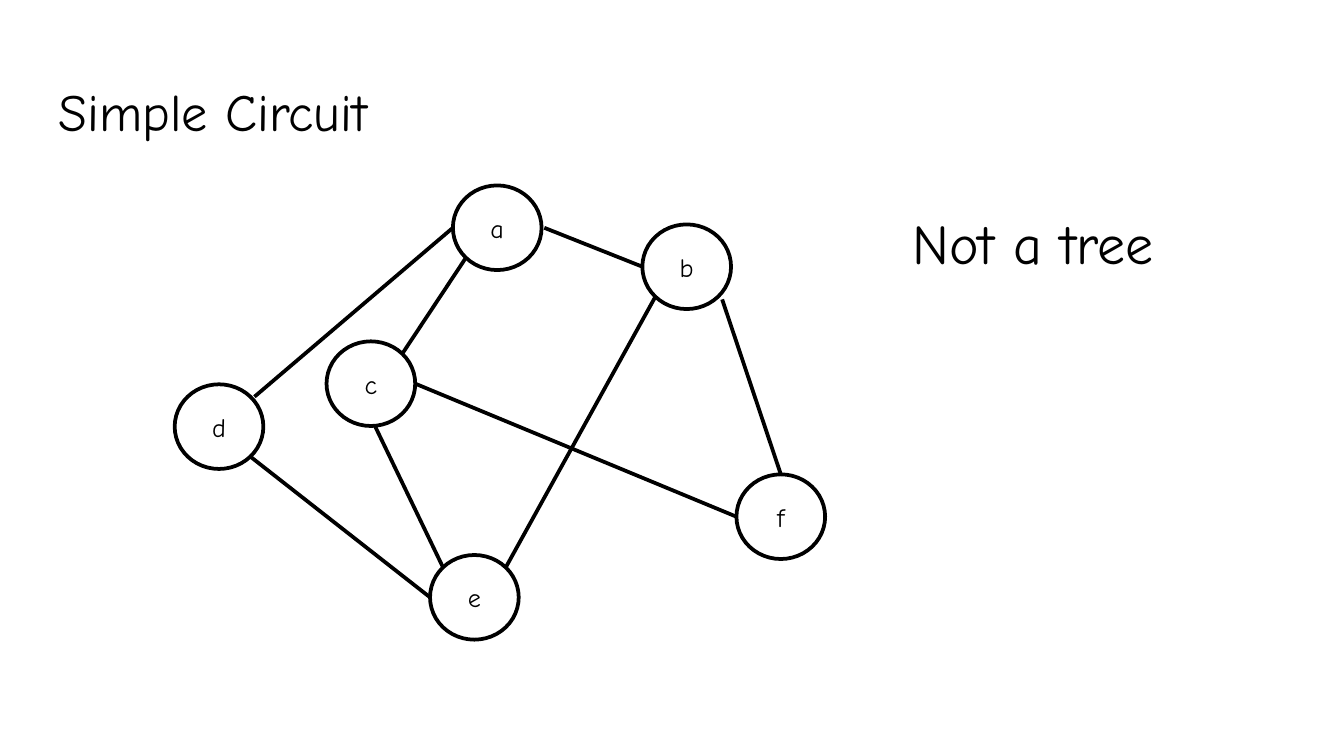
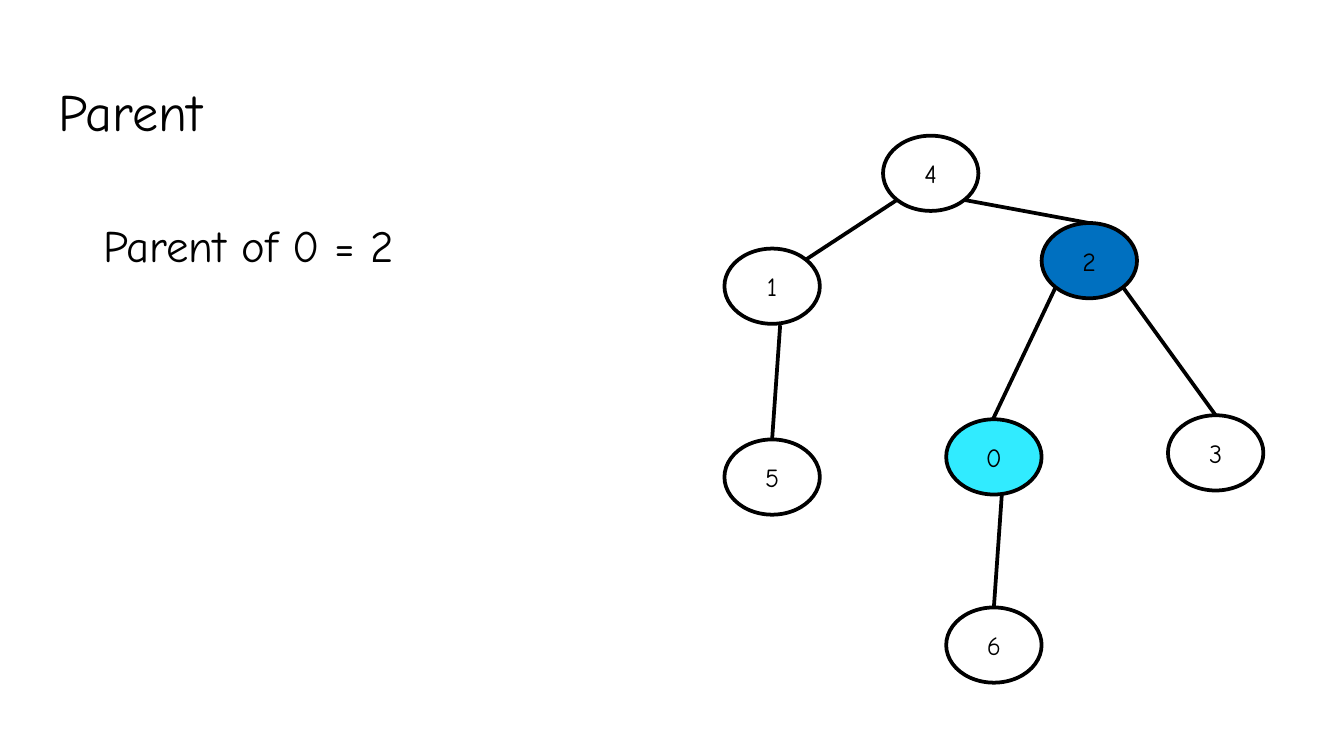
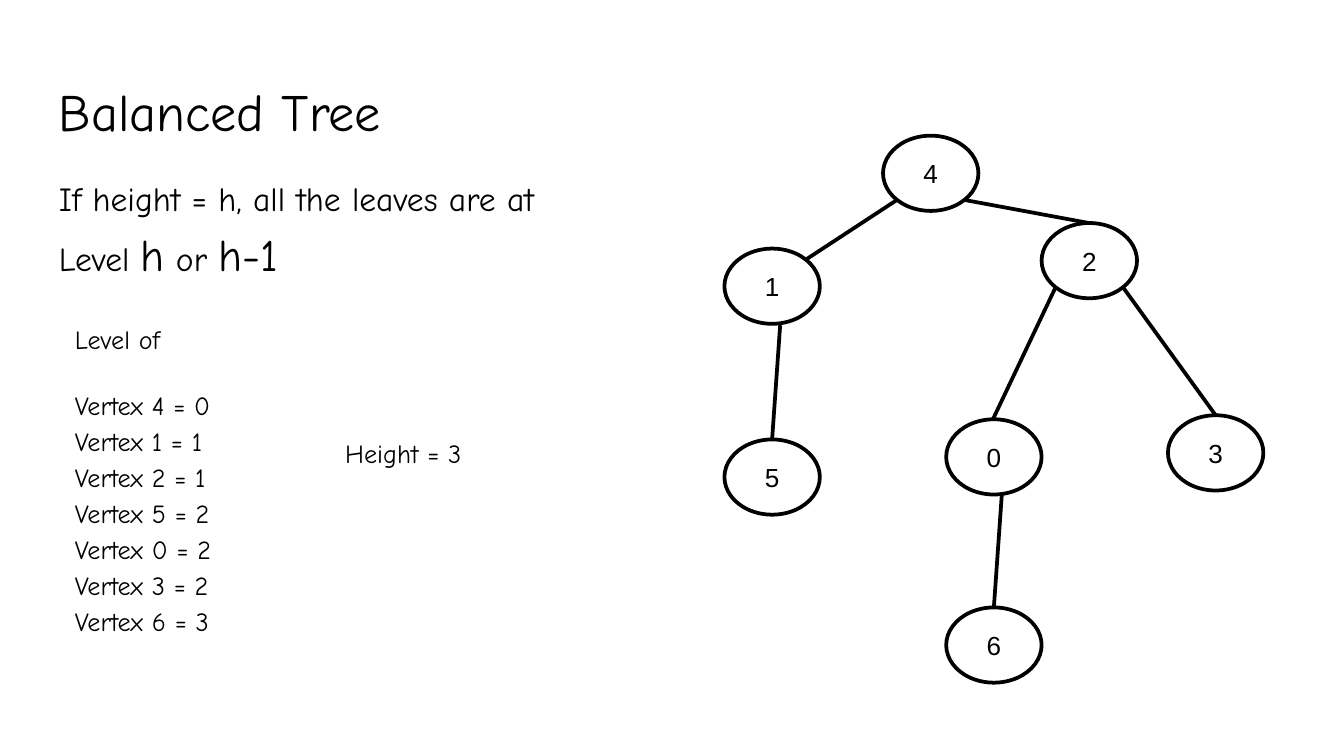
from copy import deepcopy
from math import sqrt

from lxml.etree import SubElement
from pptx import Presentation
from pptx.dml.color import RGBColor
from pptx.enum.shapes import MSO_CONNECTOR as Link, MSO_SHAPE as Kind
from pptx.enum.text import MSO_ANCHOR as Anchor, PP_ALIGN as Align
from pptx.oxml.ns import qn
from pptx.util import Inches, Pt

BLACK = RGBColor(0x00, 0x00, 0x00)
WHITE = RGBColor(0xFF, 0xFF, 0xFF)
BLUE = RGBColor(0x00, 0x70, 0xC0)
CYAN = RGBColor(0x31, 0xEB, 0xFF)

HAND, PLAIN = "Comic Neue", "Arial"
PAD = Inches(0.1)
INSET = {"margin_left": PAD, "margin_right": PAD,
         "margin_top": PAD, "margin_bottom": PAD, "word_wrap": True}
LOOSE = {"line_spacing": 1.15}
AFTER = {**LOOSE, "space_after": Pt(16)}
APART = {**AFTER, "space_before": Pt(16)}

# Lengths are in cells of a grid 100 columns wide and 56.25 rows high.
COLS, ROWS = 100, 56.25
CELL = Inches(0.1)
HEAD = (3.4, 4.9, 93.2, 6.3)

DIAG = 1 / sqrt(2)
SIDES = {"n": (0, -1), "s": (0, 1), "e": (1, 0), "w": (-1, 0),
         "ne": (DIAG, -DIAG), "nw": (-DIAG, -DIAG),
         "se": (DIAG, DIAG), "sw": (-DIAG, DIAG)}

# A graph has node places and edge ends relative to its box, and a few
# ends that stand slightly off the rim of their node.
MESH = {
    "box": (13, 13.8), "size": (6.6, 6.3),
    "nodes": {"a": (20.7, 0), "b": (34.8, 2.9), "d": (0, 14.8),
              "f": (41.8, 21.5), "e": (19, 27.5), "c": (11.3, 11.6)},
    "edges": ["c ne, a sw", "a e, b w", "c s, e nw", "e w, d se",
              "b se, f n", "d ne, a w", "c e, f w", "b sw, e ne"],
    "nudge": {"a e": (0.2, 0), "c s": (0.3, 0), "b se": (0.3, 0.2),
              "d ne": (0.3, 0)},
}
TREE = {
    "box": (53.9, 10.1), "size": (7.1, 5.6),
    "nodes": {"4": (11.8, 0), "2": (23.6, 6.5), "1": (0, 8.4),
              "3": (33, 20.8), "5": (0, 22.6), "0": (16.5, 21.1),
              "6": (16.5, 35.1)},
    "edges": ["4 sw, 1 ne", "4 se, 2 n", "2 se, 3 n", "1 s, 5 n",
              "2 sw, 0 n", "0 s, 6 n"],
    "nudge": {"1 s": (0.6, 0.1), "0 n": (-0.4, 0.7), "0 s": (0.6, -0.1)},
}


def span(*cells):
    """Turn grid cells into lengths."""
    return [round(n * CELL) for n in cells]


def style(item, form):
    """Set each value of a format dict on an object."""
    for key, val in form.items():
        setattr(item, key, val)


def put_run(para, text, size, face):
    """Add text to a paragraph, with a line break at each newline."""
    for num, line in enumerate(text.split("\n")):
        run = para.add_run()
        run.text = line
        style(run.font, {"size": Pt(size), "name": face})
        run.font.color.rgb = BLACK
        if num:
            gap = para._p.makeelement(qn("a:br"), {})
            gap.append(deepcopy(run._r.rPr))
            run._r.addprevious(gap)


def put_text(slide, box, *paras):
    """Add a text box; each paragraph is a format dict and its runs."""
    frame = slide.shapes.add_textbox(*span(*box)).text_frame
    style(frame, INSET)
    for num, (form, *runs) in enumerate(paras):
        para = frame.add_paragraph() if num else frame.paragraphs[0]
        style(para, form)
        for text, size in runs:
            put_run(para, text, size, HAND)


def put_node(slide, box, name, fill, face):
    """Add one labelled round node."""
    node = slide.shapes.add_shape(Kind.FLOWCHART_CONNECTOR, *span(*box))
    node.shadow.inherit = False
    node.fill.solid()
    node.fill.fore_color.rgb = fill
    node.line.color.rgb = BLACK
    node.line.width = Pt(2)
    style(node.text_frame, {**INSET, "vertical_anchor": Anchor.MIDDLE})
    para = node.text_frame.paragraphs[0]
    para.alignment = Align.CENTER
    put_run(para, name, 14, face)


def put_edge(slide, start, end):
    """Add one straight edge between two points."""
    edge = slide.shapes.add_connector(Link.STRAIGHT, *span(*start, *end))
    edge.line.color.rgb = BLACK
    edge.line.width = Pt(2)
    SubElement(edge._element.spPr, qn("a:effectLst"))


def put_graph(slide, graph, face=HAND, fills=None):
    """Draw the edges of a graph, then its nodes on top."""
    left, top = graph["box"]
    wide, high = graph["size"]
    nodes = {name: (left + x, top + y)
             for name, (x, y) in graph["nodes"].items()}

    def rim(mark):
        """Find the point on the rim that a mark such as 'a sw' names."""
        name, side = mark.split()
        x, y = nodes[name]
        across, down = SIDES[side]
        dx, dy = graph["nudge"].get(mark, (0, 0))
        return (x + wide / 2 * (1 + across) + dx,
                y + high / 2 * (1 + down) + dy)

    for pair in graph["edges"]:
        put_edge(slide, *map(rim, pair.split(", ")))
    for name, spot in nodes.items():
        fill = (fills or {}).get(name, WHITE)
        put_node(slide, (*spot, wide, high), name, fill, face)


def new_slide(deck, title):
    """Add a blank slide with the shared title."""
    slide = deck.slides.add_slide(deck.slide_layouts[6])
    put_text(slide, HEAD, ({}, (title, 28)))
    return slide


def loop_slide(deck):
    """Build the slide of the simple circuit."""
    slide = new_slide(deck, "Simple Circuit")
    put_text(slide, (66.9, 14.5, 23.9, 17.5), ({}, ("Not a tree", 30)))
    put_graph(slide, MESH)


def parent_slide(deck):
    """Build the slide that marks a node and its parent."""
    slide = new_slide(deck, "Parent")
    put_graph(slide, TREE, fills={"2": BLUE, "0": CYAN})
    put_text(slide, (6.7, 15.2, 28.4, 5.1), ({}, ("Parent of 0 = 2 ", 24)))


def level_slide(deck):
    """Build the slide of tree levels and height."""
    slide = new_slide(deck, "Balanced Tree")
    put_text(slide, (3.4, 11.8, 43.6, 9.6),
             (AFTER, ("If height = h, all the leaves are at \nLevel ", 18),
              ("h", 24), (" or ", 18), ("h-1", 24)))
    put_graph(slide, TREE, PLAIN)
    levels = {4: 0, 1: 1, 2: 1, 5: 2, 0: 2, 3: 2, 6: 3}
    rows = "\n".join(f"Vertex {n} = {lev}" for n, lev in levels.items())
    put_text(slide, (4.6, 22.7, 18.3, 25.6),
             (LOOSE, ("Level of ", 14)), (APART, (rows, 14)))
    put_text(slide, (24.7, 31.2, 18.3, 5.6), (AFTER, ("Height = 3", 14)))


deck = Presentation()
deck.slide_width, deck.slide_height = span(COLS, ROWS)
for build in (loop_slide, parent_slide, level_slide):
    build(deck)
deck.save("out.pptx")
